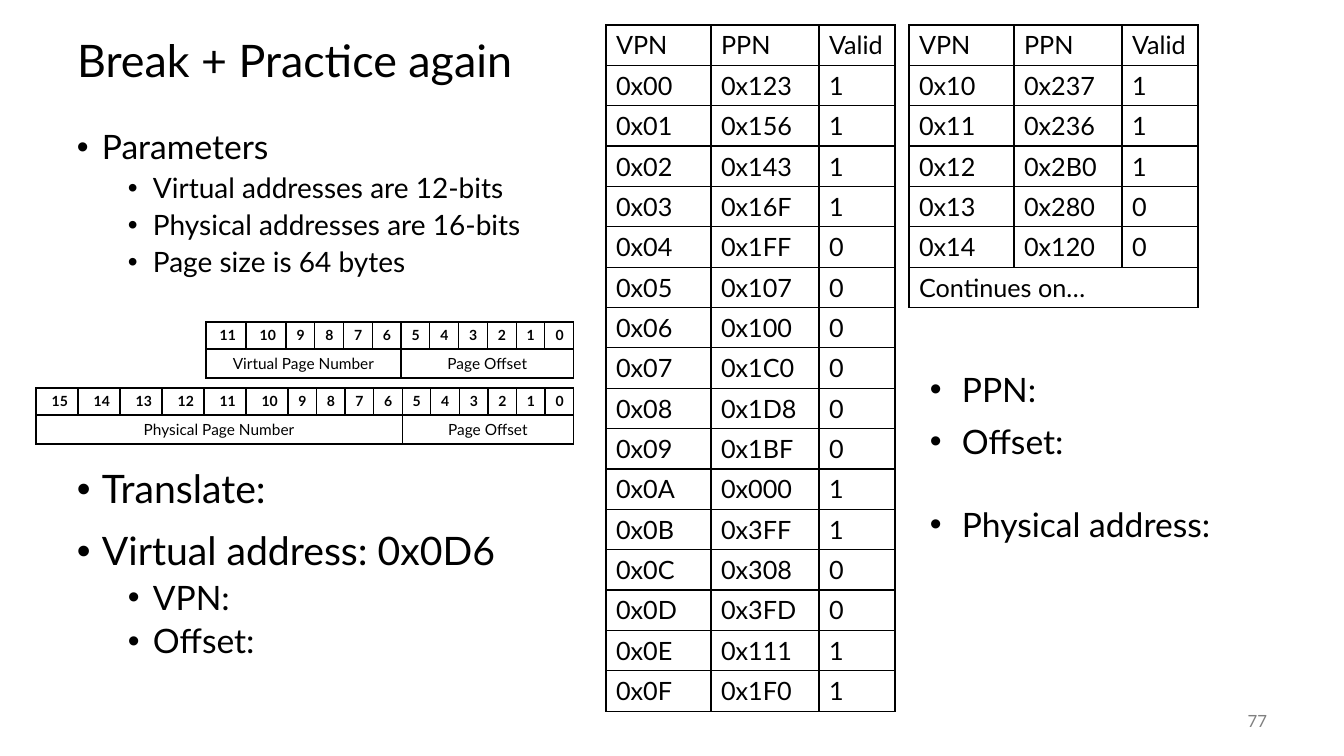
from lxml.etree import SubElement
from pptx import Presentation
from pptx.dml.color import RGBColor as RGB
from pptx.enum.text import MSO_ANCHOR as Anchor, MSO_AUTO_SIZE as Fit, PP_ALIGN as Align
from pptx.oxml import parse_xml
from pptx.oxml.ns import nsdecls, qn
from pptx.util import Emu, Pt

THEME = {
    "font": "Lato", "ink": RGB(0, 0, 0), "gray": RGB(128, 128, 128),
    "title": 32, "ask": 28, "head": 24, "item": 20, "cell": 18,
    "page": 12, "field": 11, "bit": 10, "line": 1,
}


def px(n):
    return Emu(round(n * 914400 / 100.8))


def write(para, text, size, ink="ink", bold=False, **form):
    """Put one run in para; form holds paragraph attributes."""
    for key, val in form.items():
        setattr(para, key, val)
    run = para.add_run()
    run.text = text
    look = {"name": THEME["font"], "size": Pt(THEME[size]), "bold": bold}
    for key, val in look.items():
        setattr(run.font, key, val)
    run.font.color.rgb = THEME[ink]


deck = Presentation()
deck.slide_width, deck.slide_height = px(1344), px(756)
slide = deck.slides.add_slide(deck.slide_layouts[5])

title = slide.shapes.title
place = {"left": 67, "top": 25, "width": 1210, "height": 76}
for key, val in place.items():
    setattr(title, key, px(val))
title.text_frame.auto_size = Fit.NONE
title.text_frame.vertical_anchor = Anchor.MIDDLE
write(title.text_frame.paragraphs[0], "Break + Practice again", "title",
      alignment=Align.LEFT, line_spacing=0.9)

# Bulleted lists: box, line spacing, (text, size, indent, hang, space before)
lists = [
    ((67, 126, 520, 170), 0.9, [
        ("Parameters", "head", 25, 25, 0),
        ("Virtual addresses are 12-bits", "item", 76, 25, 5),
        ("Physical addresses are 16-bits", "item", 76, 25, 5),
        ("Page size is 64 bytes", "item", 76, 25, 5),
    ]),
    ((67, 465, 520, 215), 0.9, [
        ("Translate:", "ask", 25, 25, 0),
        ("Virtual address: 0x0D6", "ask", 25, 25, 14),
        ("VPN:", "head", 76, 25, 5),
        ("Offset:", "head", 76, 25, 5),
    ]),
    ((920, 364, 384, 186), 1.0, [
        ("PPN:", "head", 32, 32, 0),
        ("Offset:", "head", 32, 32, 8),
        ("Physical address:", "head", 32, 32, 31),
    ]),
]
for box, lead, items in lists:
    frame = slide.shapes.add_textbox(*map(px, box)).text_frame
    frame.word_wrap = True
    for i, (text, size, indent, hang, gap) in enumerate(items):
        para = frame.add_paragraph() if i else frame.paragraphs[0]
        props = para._p.get_or_add_pPr()
        props.set("marL", str(px(indent)))
        props.set("indent", str(-px(hang)))
        SubElement(props, qn("a:buFont"), typeface="Arial")
        SubElement(props, qn("a:buChar"), char="•")
        write(para, text, size, line_spacing=lead, space_before=Pt(gap))

# Address layouts share a right edge and ten narrow low bits
RIGHT, LOW, OFFSET = 574, 10, 6
tables = []
for kind, bits, left, top, wide in [("Virtual", 12, 206, 322, 40),
                                    ("Physical", 16, 36, 388, 42)]:
    high = bits - LOW
    slim = (RIGHT - left - high * wide) / LOW
    split = bits - OFFSET
    fields = [""] * bits
    fields[0], fields[split] = f"{kind} Page Number", "Page Offset"
    tables.append({
        "at": (left, top), "cols": [wide] * high + [slim] * LOW, "rows": [27, 29],
        "cells": [[str(b) for b in reversed(range(bits))], fields],
        "spans": [(1, 0, split - 1), (1, split, bits - 1)],
        "forms": [{"size": "bit", "bold": True, "alignment": Align.RIGHT},
                  {"size": "field", "alignment": Align.CENTER}],
    })

# Page table, in two parts: first page number, frames, valid bits
parts = [
    (606, 0x00, "123 156 143 16F 1FF 107 100 1C0 1D8 1BF 000 3FF 308 3FD 111 1F0",
     "1111000000110011", []),
    (909, 0x10, "237 236 2B0 280 120", "11100", [["Continues on…", "", ""]]),
]
for left, first, frames, valid, tail in parts:
    cells = [["VPN", "PPN", "Valid"]]
    for vpn, (ppn, flag) in enumerate(zip(frames.split(), valid), first):
        cells.append([f"0x{vpn:02X}", f"0x{ppn}", flag])
    cells += tail
    tables.append({
        "at": (left, 25), "cols": [105, 108, 76], "rows": [40] * len(cells),
        "cells": cells, "spans": [(len(cells) - 1, 0, 2)] if tail else [],
        "forms": [{"size": "cell"}] * len(cells),
    })

for data in tables:
    cols, rows = data["cols"], data["rows"]
    grid = slide.shapes.add_table(
        len(rows), len(cols), *map(px, (*data["at"], sum(cols), sum(rows)))).table
    grid.first_row = grid.horz_banding = False
    for col, width in zip(grid.columns, cols):
        col.width = px(width)
    for row, height in zip(grid.rows, rows):
        row.height = px(height)
    for r, start, end in data["spans"]:
        grid.cell(r, start).merge(grid.cell(r, end))
    for r, (texts, form) in enumerate(zip(data["cells"], data["forms"])):
        for c, text in enumerate(texts):
            cell = grid.cell(r, c)
            cell.fill.background()
            props = cell._tc.get_or_add_tcPr()
            for i, side in enumerate("LRTB"):
                props.insert(i, parse_xml(
                    f'<a:ln{side} {nsdecls("a")} w="{Pt(THEME["line"])}"><a:solidFill>'
                    f'<a:srgbClr val="{THEME["ink"]}"/></a:solidFill></a:ln{side}>'))
            if text:
                write(cell.text_frame.paragraphs[0], text, **form)

page = slide.shapes.add_textbox(*map(px, (1176, 701, 101, 40))).text_frame
page.word_wrap = True
page.vertical_anchor = Anchor.MIDDLE
write(page.paragraphs[0], "77", "page", "gray", alignment=Align.RIGHT)

deck.save("out.pptx")
